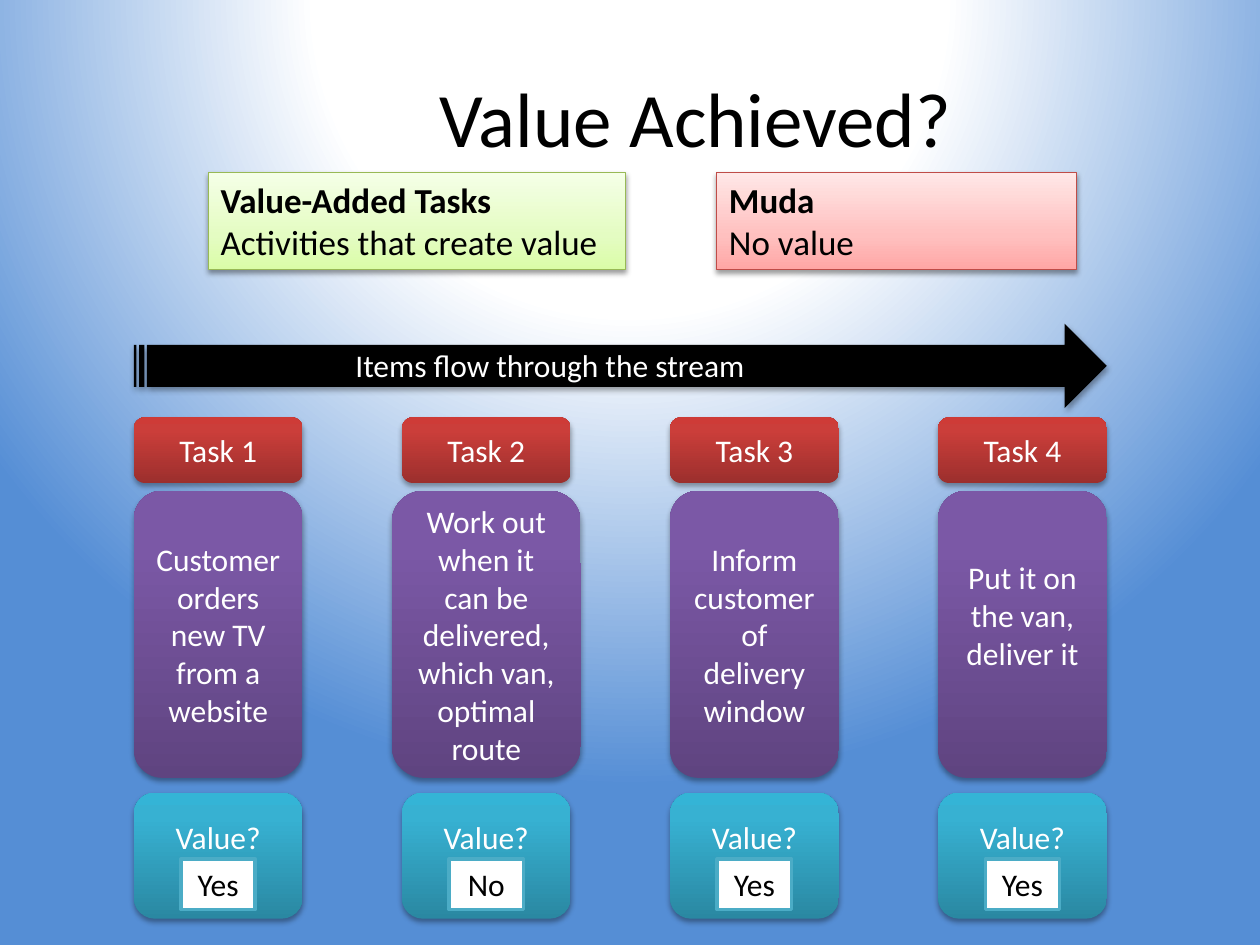
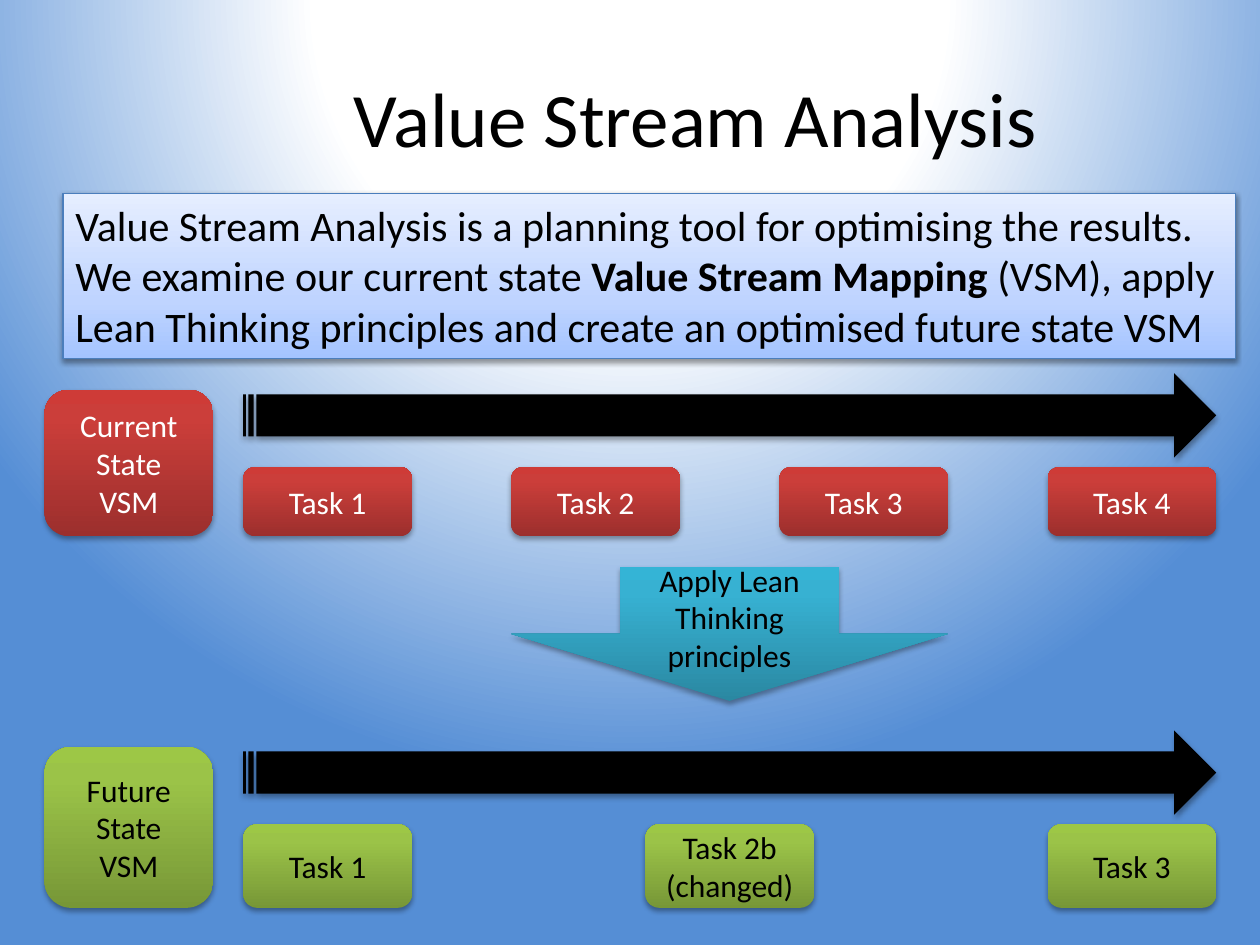
"""Build two slides on value streams: value achieved per task, and value stream analysis."""
from lxml import etree
from pptx import Presentation
from pptx.dml.color import RGBColor
from pptx.enum.shapes import MSO_SHAPE
from pptx.enum.text import MSO_ANCHOR, MSO_AUTO_SIZE, PP_ALIGN
from pptx.oxml.ns import qn
from pptx.util import Pt

RECT, ROUND = MSO_SHAPE.RECTANGLE, MSO_SHAPE.ROUNDED_RECTANGLE
STREAM, DOWN = MSO_SHAPE.STRIPED_RIGHT_ARROW, MSO_SHAPE.DOWN_ARROW
TOP, MIDDLE = MSO_ANCHOR.TOP, MSO_ANCHOR.MIDDLE
LEFT, CENTER = PP_ALIGN.LEFT, PP_ALIGN.CENTER
GROW, FIXED = MSO_AUTO_SIZE.SHAPE_TO_FIT_TEXT, MSO_AUTO_SIZE.NONE

BLACK, WHITE = "000000", "FFFFFF"
RED = [(0, "9C2F2D"), (80, "CB3E3A"), (100, "CE3B37")]
PURPLE = [(0, "5F4480"), (80, "7B58A6"), (100, "7C57A8")]
TEAL = [(0, "2A88A2"), (80, "37B1D2"), (100, "34B4D6")]
GREEN = [(0, "779737"), (80, "9BC348"), (100, "9DC746")]
PALE_GREEN = [(0, "DAFDA7"), (35, "E4FCC2"), (100, "F5FFE7")]
PALE_RED = [(0, "FFA6A5"), (35, "FFC0BF"), (100, "FFE7E7")]
PALE_BLUE = [(0, "A4C4FF"), (35, "BFD4FF"), (100, "E6EEFF")]

CARD = dict(preset=ROUND, ink=WHITE, size=18, align=CENTER, anchor=MIDDLE, fit=FIXED,
            line=None, shadow=(35, 1.8))
NOTE = dict(preset=RECT, ink=BLACK, size=20, align=LEFT, anchor=TOP, fit=GROW,
            weight=0.75, shadow=(38, 1.6))
THEME = {
    "font": "Calibri",
    "title": 44,
    "background": [(0, WHITE), (40, WHITE), (100, "558ED5")],
    "red": CARD | dict(fill=RED),
    "purple": CARD | dict(fill=PURPLE),
    "teal": CARD | dict(fill=TEAL),
    "green": CARD | dict(fill=GREEN, ink=BLACK),
    "stream": CARD | dict(fill=BLACK, preset=STREAM),
    "change": CARD | dict(fill=TEAL, preset=DOWN, ink=BLACK),
    "added": NOTE | dict(fill=PALE_GREEN, line="98B955"),
    "muda": NOTE | dict(fill=PALE_RED, line="BF4C48"),
    "summary": NOTE | dict(fill=PALE_BLUE, line="4B7EBC", size=24),
    "answer": NOTE | dict(fill=WHITE, line="4BACC6", weight=2, size=18, align=CENTER, shadow=None),
    "caption": NOTE | dict(preset=None, ink=WHITE, size=18),
}


def set_gradient(fill, owner, stops, direction, **values):
    fill.gradient()
    gradient = owner.find(".//" + qn("a:gradFill"))
    for child in list(gradient):
        gradient.remove(child)
    stop_list = etree.SubElement(gradient, qn("a:gsLst"))
    for position, colour in stops:
        stop = etree.SubElement(stop_list, qn("a:gs"), pos=str(position * 1000))
        etree.SubElement(stop, qn("a:srgbClr"), val=colour)
    return etree.SubElement(gradient, qn("a:" + direction), **values)


def add_box(page, style_name, left, top, width, height, paras=(), bottom=3.6):
    style = THEME[style_name]
    frame = [Pt(length) for length in (left, top, width, height)]
    if style["preset"] is None:
        box = page.shapes.add_textbox(*frame)
    else:
        box = page.shapes.add_shape(style["preset"], *frame)
        if isinstance(style["fill"], str):
            box.fill.solid()
            box.fill.fore_color.rgb = RGBColor.from_string(style["fill"])
        else:
            set_gradient(box.fill, box._element.spPr, style["fill"], "lin", ang="16200000", scaled="0")
        if style["line"]:
            box.line.color.rgb = RGBColor.from_string(style["line"])
            box.line.width = Pt(style["weight"])
        else:
            box.line.fill.background()
        box.shadow.inherit = False
        if style["shadow"]:
            opacity, distance = style["shadow"]
            effects = box._element.spPr.find(qn("a:effectLst"))
            shadow = etree.SubElement(effects, qn("a:outerShdw"), blurRad=str(Pt(3.1)),
                                      dist=str(Pt(distance)), dir="5400000", rotWithShape="0")
            colour = etree.SubElement(shadow, qn("a:srgbClr"), val=BLACK)
            etree.SubElement(colour, qn("a:alpha"), val=str(opacity * 1000))
    text_format = dict(word_wrap=True, auto_size=style["fit"], vertical_anchor=style["anchor"],
                       margin_bottom=Pt(bottom))
    for name, value in text_format.items():
        setattr(box.text_frame, name, value)
    for index, spans in enumerate(paras):
        para = box.text_frame.add_paragraph() if index else box.text_frame.paragraphs[0]
        para.alignment = style["align"]
        for text, bold in [(spans, False)] if isinstance(spans, str) else spans:
            span = para.add_run()
            span.text = text
            for name, value in dict(name=THEME["font"], size=Pt(style["size"]), bold=bold).items():
                setattr(span.font, name, value)
            span.font.color.rgb = RGBColor.from_string(style["ink"])


deck = Presentation()
deck.slide_width, deck.slide_height = Pt(720), Pt(540)
master = deck.slide_master
circle = set_gradient(master.background.fill, master._element, THEME["background"], "path", path="circle")
etree.SubElement(circle, qn("a:fillToRect"), l="50000", t="-80000", r="50000", b="180000")

pages = []
for heading in ("Value Achieved?", "Value Stream Analysis"):
    page = deck.slides.add_slide(deck.slide_layouts[5])
    title = page.shapes.title
    for name, value in dict(left=111, top=21.6, width=573, height=90).items():
        setattr(title, name, Pt(value))
    title.text_frame.text = heading
    title.text_frame.vertical_anchor = MIDDLE
    para = title.text_frame.paragraphs[0]
    para.alignment = CENTER
    for name, value in dict(name=THEME["font"], size=Pt(THEME["title"])).items():
        setattr(para.runs[0].font, name, value)
    para.runs[0].font.color.rgb = RGBColor.from_string(BLACK)
    pages.append(page)
value_page, analysis_page = pages

CARD_WIDTH, STREAM_WIDTH, STREAM_HEIGHT = 96.4, 556, 48.2
SPAN = STREAM_WIDTH - CARD_WIDTH
LINE = 22

value_left = 76.5
add_box(value_page, "added", 119, 98.5, 238.5, 55.7,
        [[("Value-Added Tasks", True)], "Activities that create value"])
add_box(value_page, "muda", 409.5, 98.5, 205.5, 55.7, [[("Muda", True)], "No value"])
add_box(value_page, "stream", value_left, 185, STREAM_WIDTH, STREAM_HEIGHT)
add_box(value_page, "caption", 196, 194.4, 300, 29, ["Items flow through the stream"])

tasks = [
    ("Customer orders new TV from a website", CARD_WIDTH, 0, "Yes"),
    ("Work out when it can be delivered, which van, optimal route", 108, 0, "No"),
    ("Inform customer of delivery window", CARD_WIDTH, 0, "Yes"),
    ("Put it on the van, deliver it", CARD_WIDTH, LINE, "Yes"),
]
for index, (activity, width, lift, answer) in enumerate(tasks):
    left = value_left + index * SPAN / (len(tasks) - 1)
    middle = left + CARD_WIDTH / 2
    add_box(value_page, "red", left, 238.5, CARD_WIDTH, 37.5, [f"Task {index + 1}"])
    add_box(value_page, "purple", middle - width / 2, 280.5, width, 164, [activity], 3.6 + lift)
    add_box(value_page, "teal", left, 453, CARD_WIDTH, 72, ["Value?"], 3.6 + LINE)
    add_box(value_page, "answer", middle - 21.2, 490.8, 42.4, 29, [answer])

analysis_left = 139
add_box(analysis_page, "summary", 36, 110.4, 670, 94.5, [[
    ("Value Stream Analysis is a planning tool for optimising the results. "
     "We examine our current state ", False),
    ("Value Stream Mapping", True),
    (" (VSM), apply Lean Thinking principles and create an optimised future state VSM", False),
]])
lanes = [
    ("Current State VSM", "red", 213.3, 39.5, ["Task 1", "Task 2", "Task 3", "Task 4"]),
    ("Future State VSM", "green", 417.4, 47.8, ["Task 1", "Task 2b (changed)", "Task 3"]),
]
for label, style_name, top, height, steps in lanes:
    add_box(analysis_page, "stream", analysis_left, top, STREAM_WIDTH, STREAM_HEIGHT)
    add_box(analysis_page, style_name, 25.4, top + 9.4, CARD_WIDTH, height + 44.2, [label])
    for index, step in enumerate(steps):
        left = analysis_left + index * SPAN / (len(steps) - 1)
        add_box(analysis_page, style_name, left, top + 53.6, CARD_WIDTH, height, [step])
add_box(analysis_page, "change", 292.2, 324, 249.4, 76.5, ["Apply Lean Thinking principles"])

deck.save("out.pptx")
